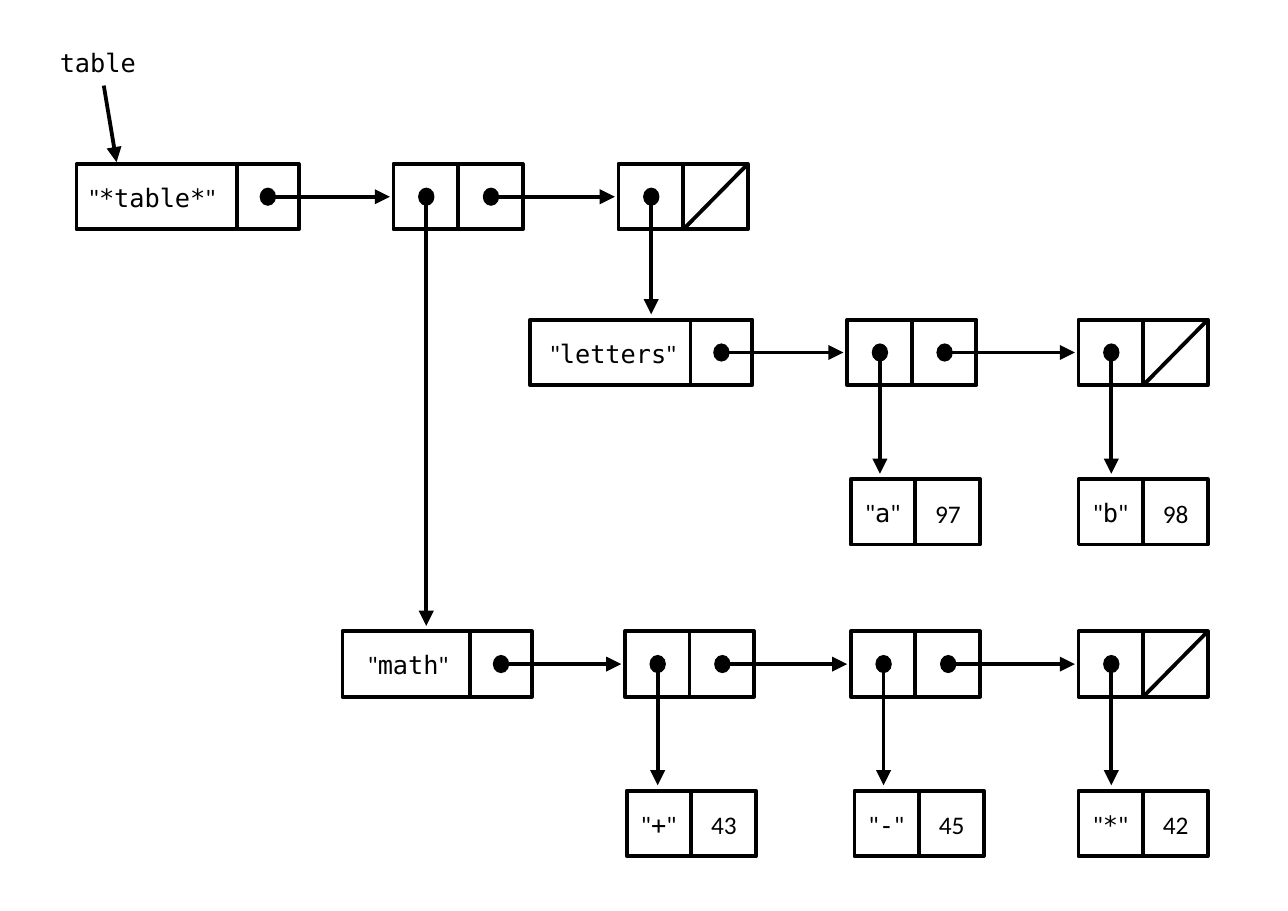
import pptx
import pptx.dml.color
import pptx.enum.shapes
import pptx.enum.text
import pptx.oxml
import pptx.util
from lxml import etree

BLACK = pptx.dml.color.RGBColor(0, 0, 0)
MONO, SANS = "DejaVu Sans Mono", "Calibri"

# Grid of 707 columns by 500 rows, each a hundredth of an inch
COLUMNS, ROWS = 707, 500
GRID = pptx.util.Inches(0.01)
CELL_HEIGHT, PAIR_WIDTH, TAIL_WIDTH = 36, 71, 34
CAR, CDR, MIDDLE = 18, 53.5, 18      # pointer positions inside a pair
DOT_WIDTH, DOT_HEIGHT = 9, 10
LABEL_WIDTH, LABEL_HEIGHT = 45, 27
SIDE_GAP, TOP_GAP = 2, 3             # space between arrow tip and its target


def grid(*numbers):
    return [round(number * GRID) for number in numbers]


def add_line(page, start, end, arrow=False):
    line = page.shapes.add_connector(
        pptx.enum.shapes.MSO_CONNECTOR.STRAIGHT, *grid(*start, *end))
    line.line.color.rgb = BLACK
    line.line.width = pptx.util.Pt(1.5)
    if arrow:
        outline = line.line._get_or_add_ln()
        etree.SubElement(outline, pptx.oxml.ns.qn("a:tailEnd"), type="triangle")
    etree.SubElement(line._element.spPr, pptx.oxml.ns.qn("a:effectLst"))
    return line


def add_rectangle(page, left, top, width):
    box = page.shapes.add_shape(pptx.enum.shapes.MSO_SHAPE.RECTANGLE,
                                *grid(left, top, width, CELL_HEIGHT))
    box.shadow.inherit = False
    box.fill.background()
    box.line.color.rgb = BLACK
    box.line.width = pptx.util.Pt(1.5)
    return box


def add_dot(page, x, y):
    dot = page.shapes.add_shape(
        pptx.enum.shapes.MSO_SHAPE.OVAL,
        *grid(x - DOT_WIDTH / 2, y - DOT_HEIGHT / 2, DOT_WIDTH, DOT_HEIGHT))
    dot.shadow.inherit = False
    dot.fill.solid()
    dot.fill.fore_color.rgb = BLACK
    dot.line.fill.background()


def add_label(page, left, top, spans, width=LABEL_WIDTH):
    """Write (text, font) spans on one line."""
    box = page.shapes.add_textbox(*grid(left, top, width, LABEL_HEIGHT))
    box.text_frame.word_wrap = True
    box.text_frame.auto_size = pptx.enum.text.MSO_AUTO_SIZE.SHAPE_TO_FIT_TEXT
    para = box.text_frame.paragraphs[0]
    for text, font in spans:
        span = para.add_run()
        span.text = text
        span.font.name = font
        span.font.size = pptx.util.Pt(10)
        span.font.color.rgb = BLACK


def quoted(word):
    return [('"', SANS), (word, MONO), ('"', SANS)]


def add_pair(page, left, top):
    """Draw a box split in two halves."""
    box = add_rectangle(page, left, top, PAIR_WIDTH)
    middle = left + PAIR_WIDTH / 2
    divider = add_line(page, (middle, top + CELL_HEIGHT), (middle, top))
    divider.begin_connect(box, 2)
    divider.end_connect(box, 0)


def add_entry(page, left, top, key, value):
    """Draw a key and value pair."""
    add_pair(page, left, top)
    add_label(page, left - 2, top + 5, quoted(key))
    add_label(page, left + 36.5, top + 5.5, [(value, SANS)])


def add_header(page, left, top, width, word, shift):
    """Draw a named head cell and return the x of its pointer."""
    add_rectangle(page, left, top, width)
    divider = left + width - TAIL_WIDTH
    add_line(page, (divider, top + CELL_HEIGHT), (divider, top))
    add_label(page, left + shift, top + 5, quoted(word), width=100)
    pointer = divider + 17
    add_dot(page, pointer, top + MIDDLE)
    return pointer


def add_list(page, left, top, width, word, shift, pairs):
    """Draw a head cell and its chain; pairs are (left, row pointed down to)."""
    y = top + MIDDLE
    pointer = add_header(page, left, top, width, word, shift)
    for pair_left, target in pairs:
        add_line(page, (pointer, y), (pair_left - SIDE_GAP, y), arrow=True)
        add_pair(page, pair_left, top)
        car = pair_left + CAR
        add_dot(page, car, y)
        add_line(page, (car, y), (car, target - TOP_GAP), arrow=True)
        pointer = pair_left + CDR
        if (pair_left, target) != pairs[-1]:
            add_dot(page, pointer, y)
    # Slash marks the end of the chain
    end = pairs[-1][0]
    add_line(page, (end + PAIR_WIDTH, top),
             (end + PAIR_WIDTH / 2, top + CELL_HEIGHT))


def add_subtable(page, left, top, width, word, shift, pair_lefts, entries):
    """Draw a chain with a row of (left, key, value) entries below it."""
    entry_top = top + 87.5
    add_list(page, left, top, width, word, shift,
             [(pair_left, entry_top) for pair_left in pair_lefts])
    for entry_left, key, value in entries:
        add_entry(page, entry_left, entry_top, key, value)


def main():
    deck = pptx.Presentation()
    deck.slide_width, deck.slide_height = grid(COLUMNS, ROWS)
    page = deck.slides.add_slide(deck.slide_layouts[6])
    backbone_top, letters_top, math_top = 90, 175.5, 346.5

    # Variable name pointing at the table
    add_label(page, 23, 21, [("table", MONO)], width=68)
    add_line(page, (57, 47), (64, backbone_top - 1), arrow=True)

    # Backbone
    add_list(page, 42, backbone_top, 122, "*table*", -3,
             [(216, math_top), (339.5, letters_top)])

    # Subtables
    add_subtable(page, 291, letters_top, 122, "letters", 1, [465, 592],
                 [(467, "a", "97"), (592, "b", "98")])
    add_subtable(page, 188, math_top, 104, "math", 4, [343, 467, 592],
                 [(344, "+", "43"), (469, "-", "45"), (592, "*", "42")])

    deck.save("out.pptx")


if __name__ == "__main__":
    main()
